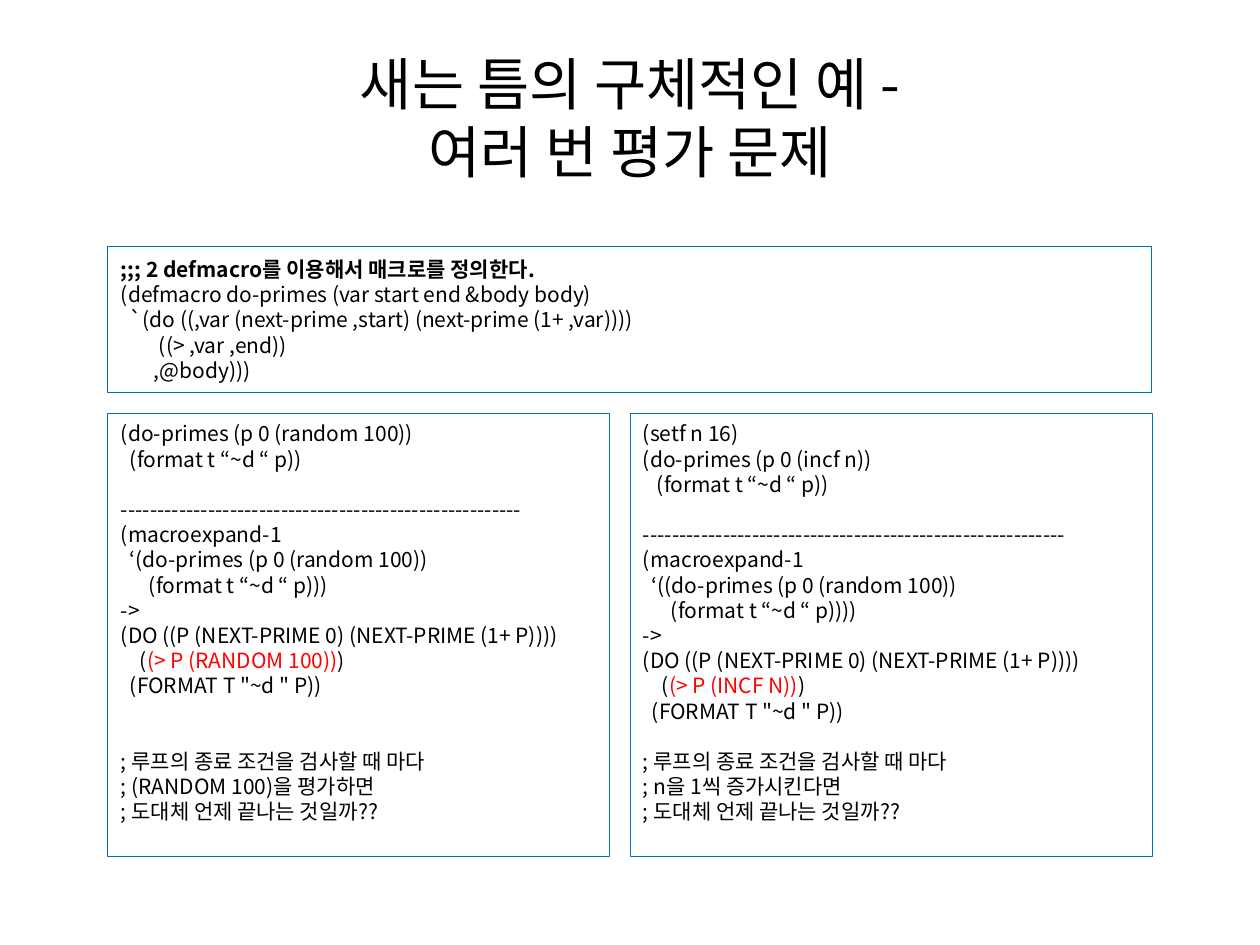
from pptx import Presentation
from pptx.dml.color import RGBColor
from pptx.enum.shapes import MSO_SHAPE as Shape
from pptx.enum.text import MSO_ANCHOR as Anchor, MSO_AUTO_SIZE as AutoSize, PP_ALIGN as Align
from pptx.oxml.ns import qn
from pptx.util import Pt
from lxml import etree

BLACK = RGBColor(0x00, 0x00, 0x00)
RED = RGBColor(0xFF, 0x00, 0x00)
BLUE = RGBColor(0x00, 0x70, 0xC0)
FONT = "Noto Sans CJK KR"
CODE_SIZE, TITLE_SIZE = 12, 32.4
LINE_RATIO = 1.2
CODE_PITCH = CODE_SIZE * LINE_RATIO  # points from line to line
COLUMN = 4.7  # pixels of indent per code column
LINE = 25  # pixels per code line
INSET_X, INSET_Y = 13, 6


def px(length):
    return round(length * 914400 / 126)


def set_values(target, values):
    for name, value in values.items():
        setattr(target, name, value)


def style_run(run, size, color=BLACK, bold=False):
    set_values(run.font, {"name": FONT, "size": Pt(size), "bold": bold})
    run.font.color.rgb = color
    east_asian = etree.SubElement(run._r.get_or_add_rPr(), qn("a:ea"))
    east_asian.set("typeface", FONT)


def place(part, box):
    set_values(part, dict(zip(("left", "top", "width", "height"), map(px, box))))


def add_title(slide, box, wording):
    title = slide.shapes.title
    place(title, box)
    frame = title.text_frame
    set_values(frame, {"auto_size": AutoSize.NONE, "word_wrap": True,
                       "vertical_anchor": Anchor.MIDDLE, "text": wording})
    heading = frame.paragraphs[0]
    set_values(heading, {"alignment": Align.CENTER,
                         "line_spacing": Pt(TITLE_SIZE * LINE_RATIO)})
    for run in heading.runs:
        style_run(run, TITLE_SIZE)


def add_code_box(slide, box, listing, red="", bold_first=False, spare_lines=0):
    """Empty lines of the listing become space before, leading columns an indent."""
    panel = slide.shapes.add_shape(Shape.RECTANGLE, *map(px, box))
    panel.shadow.inherit = False
    panel.fill.background()
    panel.line.color.rgb = BLUE
    panel.line.width = Pt(0.5)
    frame = panel.text_frame
    set_values(frame, {
        "word_wrap": True, "vertical_anchor": Anchor.MIDDLE,
        "margin_left": px(INSET_X), "margin_right": px(INSET_X),
        "margin_top": px(INSET_Y),
        "margin_bottom": px(INSET_Y + spare_lines * LINE)})
    skipped, first = 0, True
    for line in listing:
        if not line:
            skipped += 1
            continue
        paragraph = frame.paragraphs[0] if first else frame.add_paragraph()
        set_values(paragraph, {"alignment": Align.LEFT,
                               "line_spacing": Pt(CODE_PITCH),
                               "space_before": Pt(skipped * CODE_PITCH)})
        code = line.lstrip()
        indent = px(round((len(line) - len(code)) * COLUMN))
        paragraph._p.get_or_add_pPr().set("marL", str(indent))
        pieces = code.partition(red) if red else (code,)
        for piece in filter(None, pieces):
            run = paragraph.add_run()
            run.text = piece
            style_run(run, CODE_SIZE, RED if piece == red else BLACK,
                      bold_first and first)
        skipped, first = 0, False


def expansion(call, condition):
    """The macro expansion that both examples share."""
    return ["(macroexpand-1", *call, "->",
            "(DO ((P (NEXT-PRIME 0) (NEXT-PRIME (1+ P))))",
            f"    ({condition})",
            '  (FORMAT T "~d " P))']


def question(middle):
    return ["; 루프의 종료 조건을 검사할 때 마다", middle, "; 도대체 언제 끝나는 것일까??"]


MACRO = [";;; 2 defmacro를 이용해서 매크로를 정의한다.",
         "(defmacro do-primes (var start end &body body)",
         "  `(do ((,var (next-prime ,start) (next-prime (1+ ,var))))",
         "        ((> ,var ,end))",
         "       ,@body)))"]
RANDOM_TEST, INCF_TEST = "(> P (RANDOM 100))", "(> P (INCF N))"
RANDOM_EXAMPLE = [
    "(do-primes (p 0 (random 100))", "  (format t “~d “ p))", "", "-" * 55,
    *expansion(["  ‘(do-primes (p 0 (random 100))", "      (format t “~d “ p)))"],
               RANDOM_TEST),
    "", "", *question("; (RANDOM 100)을 평가하면")]
INCF_EXAMPLE = [
    "(setf n 16)", "(do-primes (p 0 (incf n))", "   (format t “~d “ p))", "", "-" * 58,
    *expansion(["  ‘((do-primes (p 0 (random 100))", "      (format t “~d “ p))))"],
               INCF_TEST),
    "", *question("; n을 1씩 증가시킨다면")]

deck = Presentation()
set_values(deck, {"slide_width": px(1260), "slide_height": px(945)})
slide = deck.slides.add_slide(deck.slide_layouts[5])

# Title
add_title(slide, (63, 38, 1134, 158), "새는 틈의 구체적인 예 -\v여러 번 평가 문제")

# Macro definition
LEFT, RIGHT, GAP = 108, 1152, 20
add_code_box(slide, (LEFT, 246, RIGHT - LEFT, 147), MACRO, bold_first=True)

# Two examples side by side
SPLIT, TOP, HEIGHT = 610, 413, 444
add_code_box(slide, (LEFT, TOP, SPLIT - LEFT, HEIGHT), RANDOM_EXAMPLE,
             red=RANDOM_TEST, spare_lines=1)
add_code_box(slide, (SPLIT + GAP, TOP, RIGHT - SPLIT - GAP, HEIGHT), INCF_EXAMPLE,
             red=INCF_TEST, spare_lines=1)

deck.save("out.pptx")
